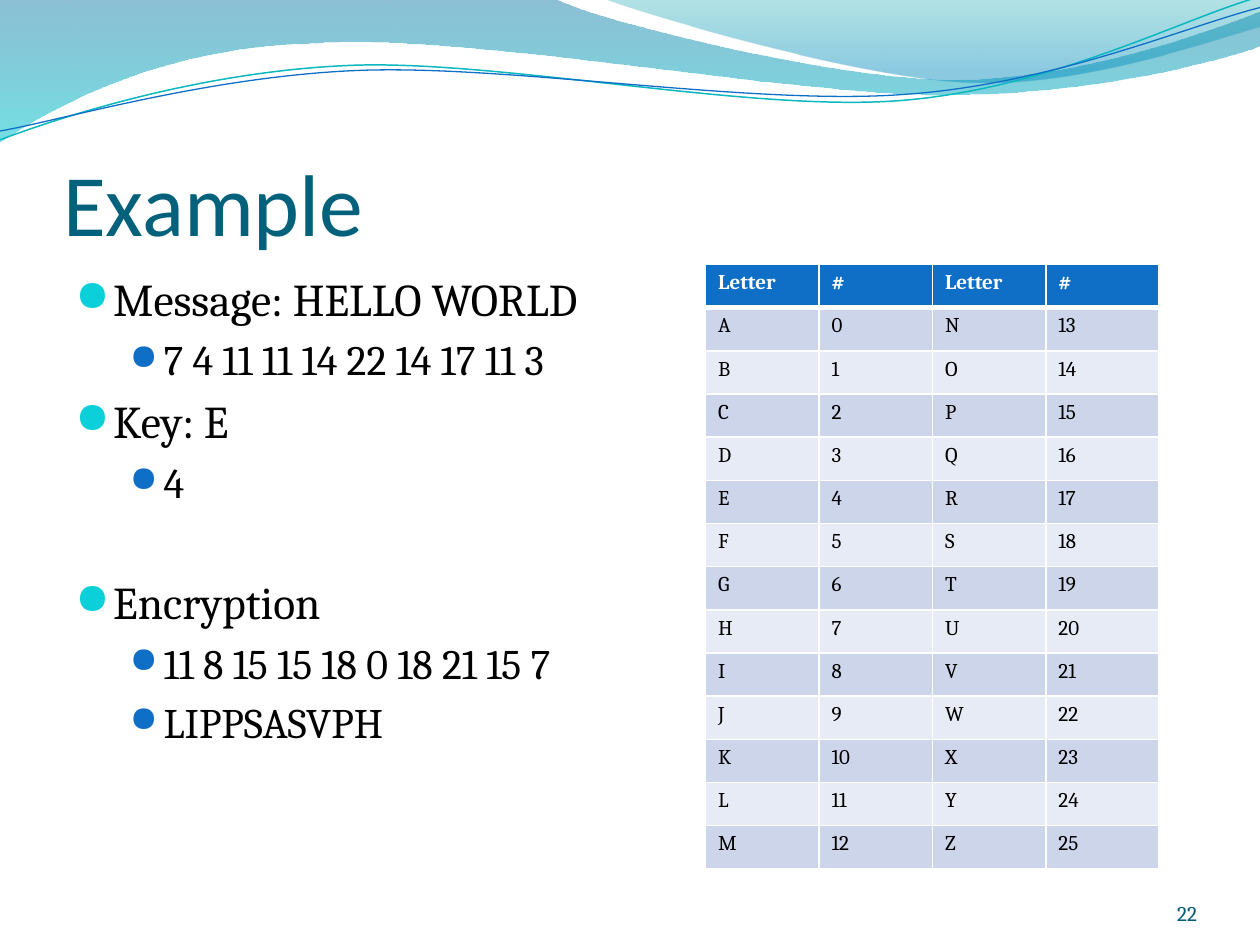
from lxml import etree
from pptx import Presentation
from pptx.dml.color import RGBColor
from pptx.enum.text import MSO_ANCHOR, MSO_AUTO_SIZE, PP_ALIGN
from pptx.oxml.ns import qn
from pptx.util import Inches, Pt

LEFT, RIGHT = PP_ALIGN.LEFT, PP_ALIGN.RIGHT
TOP, BOTTOM = MSO_ANCHOR.TOP, MSO_ANCHOR.BOTTOM
NO_FIT = MSO_AUTO_SIZE.NONE
TITLE_ONLY = 5

COLORS = {
    "title": "04617B", "text": "000000", "white": "FFFFFF", "number": "045D75",
    "aqua": "0BD0D9", "blue": "0F6FC6", "teal": "0AB8BF",
    "dark": "CCD5EA", "light": "E7EBF5",
    "band_top": "0074A1", "band_end": "00C6CF",
    "wing_top": "00A1A9", "wing_end": "008BBF",
}

BAND = [
    [(0, 0)], [(4.4, -0.01)],
    [(4.76, 0.17), (6.64, 0.63), (7.58, 0.63)],
    [(8.53, 0.63), (9.58, 0.26), (10, 0.09)],
    [(10.01, 0.36)],
    [(9.83, 0.44), (8.7, 0.76), (7.46, 0.75)],
    [(6.22, 0.75), (3.82, 0.28), (2.57, 0.34)],
    [(1.29, 0.36), (0.46, 0.83), (-0.01, 1.13)],
]
WING = [
    [(4.79, -0.01)],
    [(5.09, 0.11), (6.82, 0.62), (7.69, 0.65)],
    [(8.56, 0.69), (9.61, 0.32), (10, 0.21)],
    [(10, 0)],
]
TEAL_WAVE = [
    [(0, 1.11)],
    [(0.48, 0.93), (1.58, 0.57), (2.77, 0.52)],
    [(3.95, 0.47), (5.93, 0.89), (7.13, 0.8)],
    [(8.33, 0.71), (9.38, 0.15), (9.98, -0.02)],
]
BLUE_WAVE = [
    [(0, 1.04)],
    [(0.47, 0.96), (1.64, 0.61), (2.83, 0.56)],
    [(4.03, 0.51), (5.97, 0.84), (7.17, 0.75)],
    [(8.36, 0.67), (9.41, 0.21), (10, 0.06)],
]

LEVELS = [
    {"size": 26, "left": 0.3, "hang": 0.3, "color": "aqua", "scale": 95, "gap": 5.2},
    {"size": 24, "left": 0.7, "hang": 0.27, "color": "blue", "scale": 85, "gap": 4.8},
]
POINTS = [
    (0, "Message: HELLO WORLD", 0),
    (1, "7 4 11 11 14 22 14 17 11 3", 0),
    (0, "Key: E", 0),
    (1, "4", 0),
    (0, "Encryption", 33.5),
    (1, "11 8 15 15 18 0 18 21 15 7", 0),
    (1, "LIPPSASVPH", 0),
]


def rgb(name):
    return RGBColor.from_string(COLORS[name])


def style(para, size, color, font="Cambria", bold=False):
    para.font.name = font
    para.font.size = Pt(size)
    para.font.bold = bold
    para.font.color.rgb = rgb(color)


def bend(shape, parts):
    lines = iter(list(shape._element.iter(qn("a:lnTo"))))
    for part in parts:
        group = [next(lines) for dot in part]
        if len(group) == 3:
            curve = etree.Element(qn("a:cubicBezTo"))
            group[0].addprevious(curve)
            for line in group:
                curve.append(line[0])
                line.getparent().remove(line)


def add_curve(slide, parts, closed):
    dots = [(Inches(x), Inches(y)) for part in parts for x, y in part]
    pen = slide.shapes.build_freeform(*dots[0])
    pen.add_line_segments(dots[1:], close=closed)
    shape = pen.convert_to_shape()
    bend(shape, parts[1:])
    shape.shadow.inherit = False
    return shape


def add_area(slide, parts, stops):
    shape = add_curve(slide, parts, True)
    shape.line.fill.background()
    shape.fill.gradient()
    shape.fill.gradient_angle = 270
    for stop, (place, color, alpha) in zip(shape.fill.gradient_stops, stops):
        stop.position = place
        stop.color.rgb = rgb(color)
    tints = shape._element.spPr.iter(qn("a:srgbClr"))
    for tint, (place, color, alpha) in zip(tints, stops):
        etree.SubElement(tint, qn("a:alpha"), val=str(alpha * 1000))


def add_wave(slide, parts, color, width):
    shape = add_curve(slide, parts, False)
    shape.fill.background()
    shape.line.color.rgb = rgb(color)
    shape.line.width = Pt(width)


def add_title(slide, text):
    title = slide.shapes.title
    title.left, title.top = Inches(0.5), Inches(0.77)
    title.width, title.height = Inches(9), Inches(1.25)
    frame = title.text_frame
    frame.text = text
    frame.auto_size = NO_FIT
    frame.vertical_anchor = BOTTOM
    frame.margin_left = frame.margin_right = frame.margin_bottom = 0
    frame.margin_top = Inches(0.05)
    para = frame.paragraphs[0]
    para.alignment = LEFT
    style(para, 50, "title", "Calibri")


def add_box(slide, left, top, width, height):
    box = slide.shapes.add_textbox(Inches(left), Inches(top),
                                   Inches(width), Inches(height))
    box.text_frame.word_wrap = True
    return box.text_frame


def add_bullet(para, level):
    props = para._p.get_or_add_pPr()
    props.set("marL", str(Inches(level["left"])))
    props.set("indent", str(-Inches(level["hang"])))
    tint = etree.SubElement(props, qn("a:buClr"))
    etree.SubElement(tint, qn("a:srgbClr"), val=COLORS[level["color"]])
    etree.SubElement(props, qn("a:buSzPct"), val=str(level["scale"] * 1000))
    etree.SubElement(props, qn("a:buFont"), typeface="OpenSymbol")
    etree.SubElement(props, qn("a:buChar"), char="●")


def add_list(slide):
    frame = add_box(slide, 0.5, 2.1, 4.42, 4.85)
    for row, (depth, text, extra) in enumerate(POINTS):
        para = frame.add_paragraph() if row else frame.paragraphs[0]
        level = LEVELS[depth]
        para.text = text
        para.level = depth
        add_bullet(para, level)
        para.space_before = Pt(level["gap"] + extra if row else 0)
        style(para, level["size"], "text")


def add_edge(cell, side, width):
    props = cell._tc.get_or_add_tcPr()
    edge = etree.SubElement(props, qn("a:" + side), w=str(Pt(width)))
    fill = etree.SubElement(edge, qn("a:solidFill"))
    etree.SubElement(fill, qn("a:srgbClr"), val=COLORS["white"])


def fill_cell(cell, text, row):
    for side in ("lnL", "lnR", "lnT", "lnB"):
        thick = (row, side) in ((0, "lnB"), (1, "lnT"))
        add_edge(cell, side, 3 if thick else 1)
    cell.fill.solid()
    cell.fill.fore_color.rgb = rgb(("light", "dark")[row % 2] if row else "blue")
    cell.vertical_anchor = TOP
    cell.text = text
    style(cell.text_frame.paragraphs[0], 12, "text" if row else "white", bold=not row)


def add_codes(slide):
    rows = [["Letter", "#"] * 2]
    for code in range(13):
        rows.append([chr(65 + code), str(code), chr(78 + code), str(13 + code)])
    table = slide.shapes.add_table(len(rows), 4, Inches(5.6), Inches(2.1),
                                   Inches(3.6), Inches(4.8)).table
    for row, texts in enumerate(rows):
        for col, text in enumerate(texts):
            fill_cell(table.cell(row, col), text, row)


def add_number(slide, text):
    frame = add_box(slide, 8.67, 6.95, 0.83, 0.4)
    frame.margin_left = frame.margin_right = 0
    frame.margin_top = frame.margin_bottom = 0
    frame.vertical_anchor = BOTTOM
    para = frame.paragraphs[0]
    para.text = text
    para.alignment = RIGHT
    style(para, 12, "number")


def main():
    deck = Presentation()
    deck.slide_width, deck.slide_height = Inches(10), Inches(7.5)
    slide = deck.slides.add_slide(deck.slide_layouts[TITLE_ONLY])
    add_area(slide, BAND, [(0, "band_top", 45), (1, "band_end", 55)])
    add_area(slide, WING, [(0, "wing_top", 30), (0.8, "wing_end", 45)])
    add_wave(slide, TEAL_WAVE, "teal", 0.85)
    add_wave(slide, BLUE_WAVE, "blue", 0.75)
    add_title(slide, "Example")
    add_list(slide)
    add_codes(slide)
    add_number(slide, "22")
    deck.save("out.pptx")


if __name__ == "__main__":
    main()
